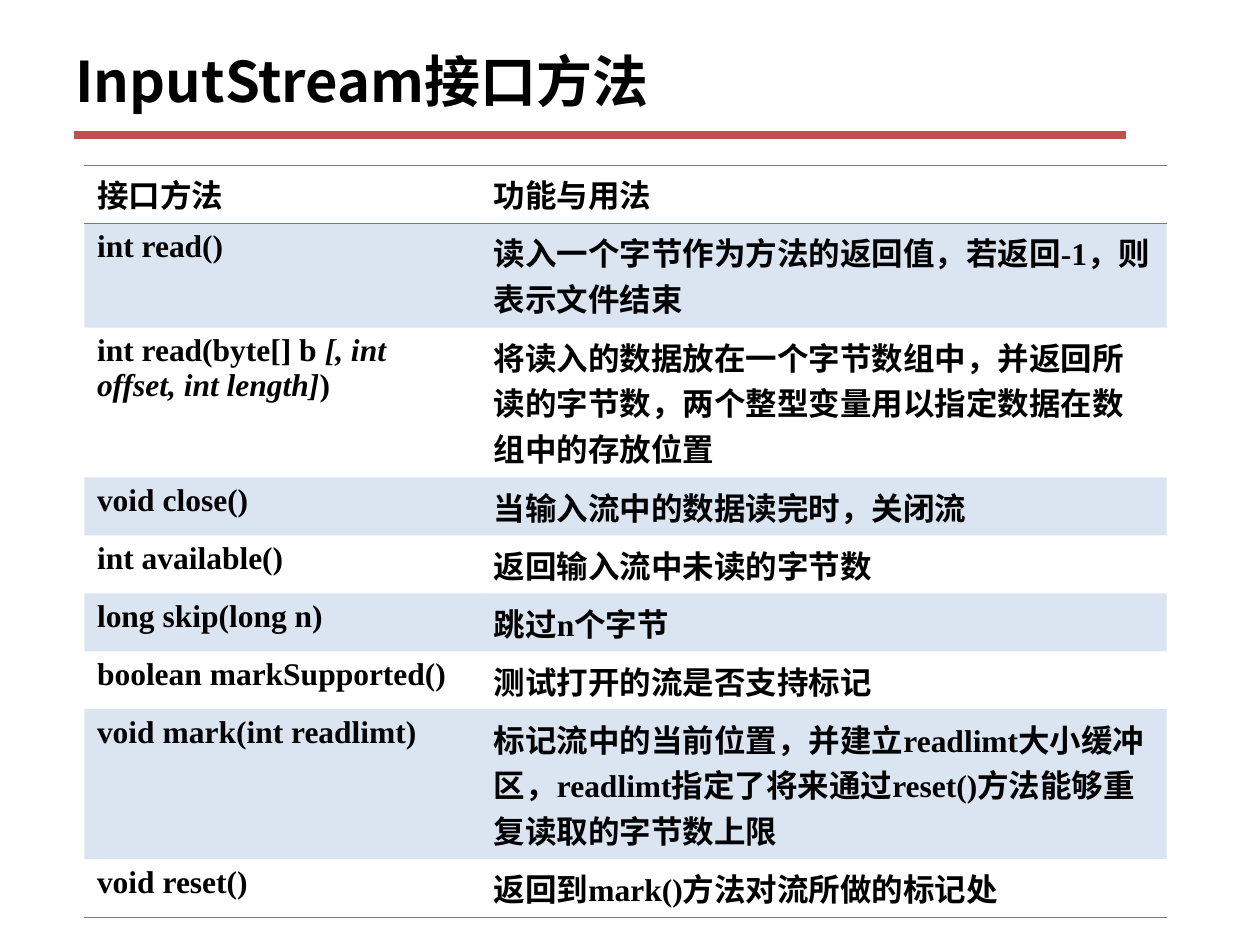
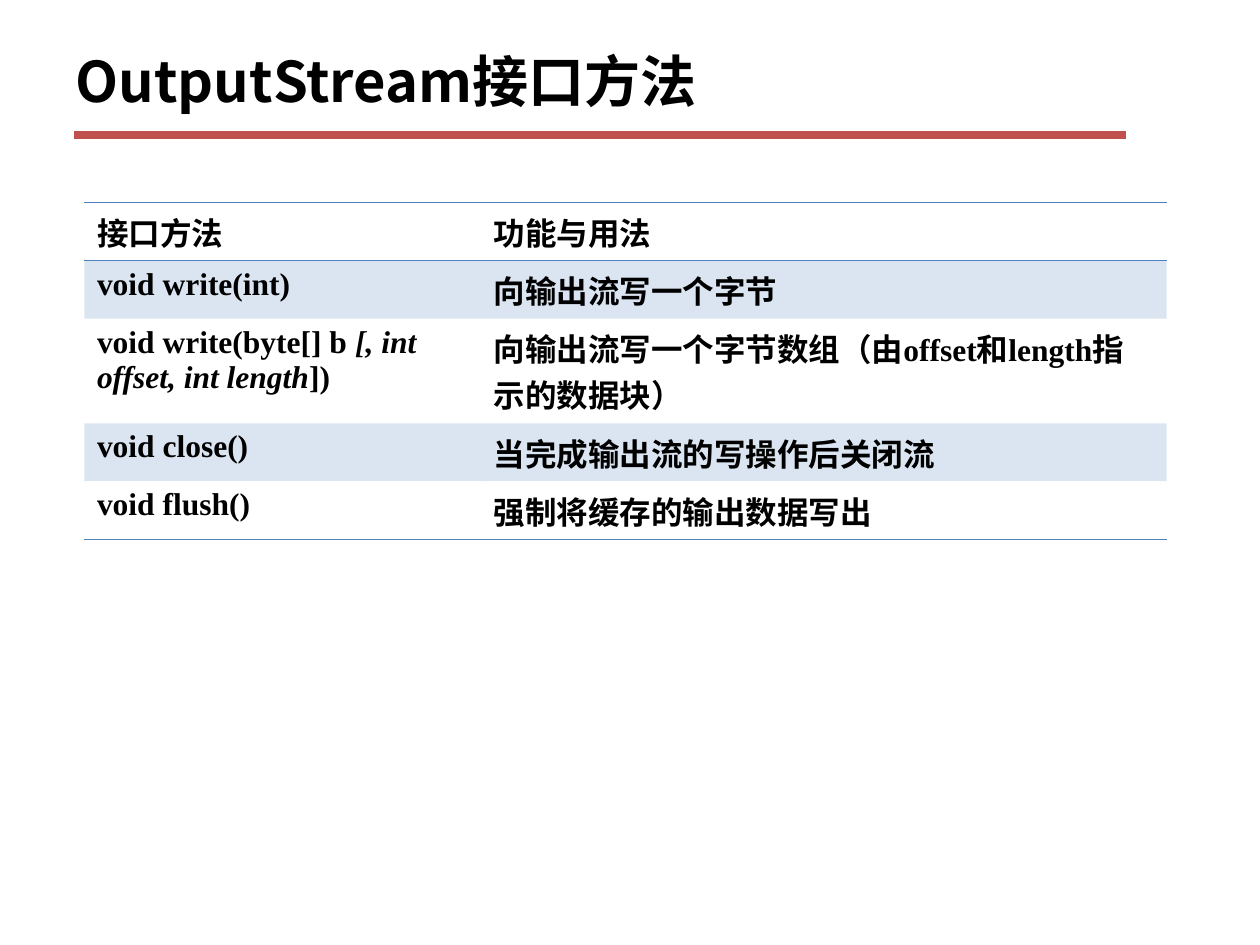
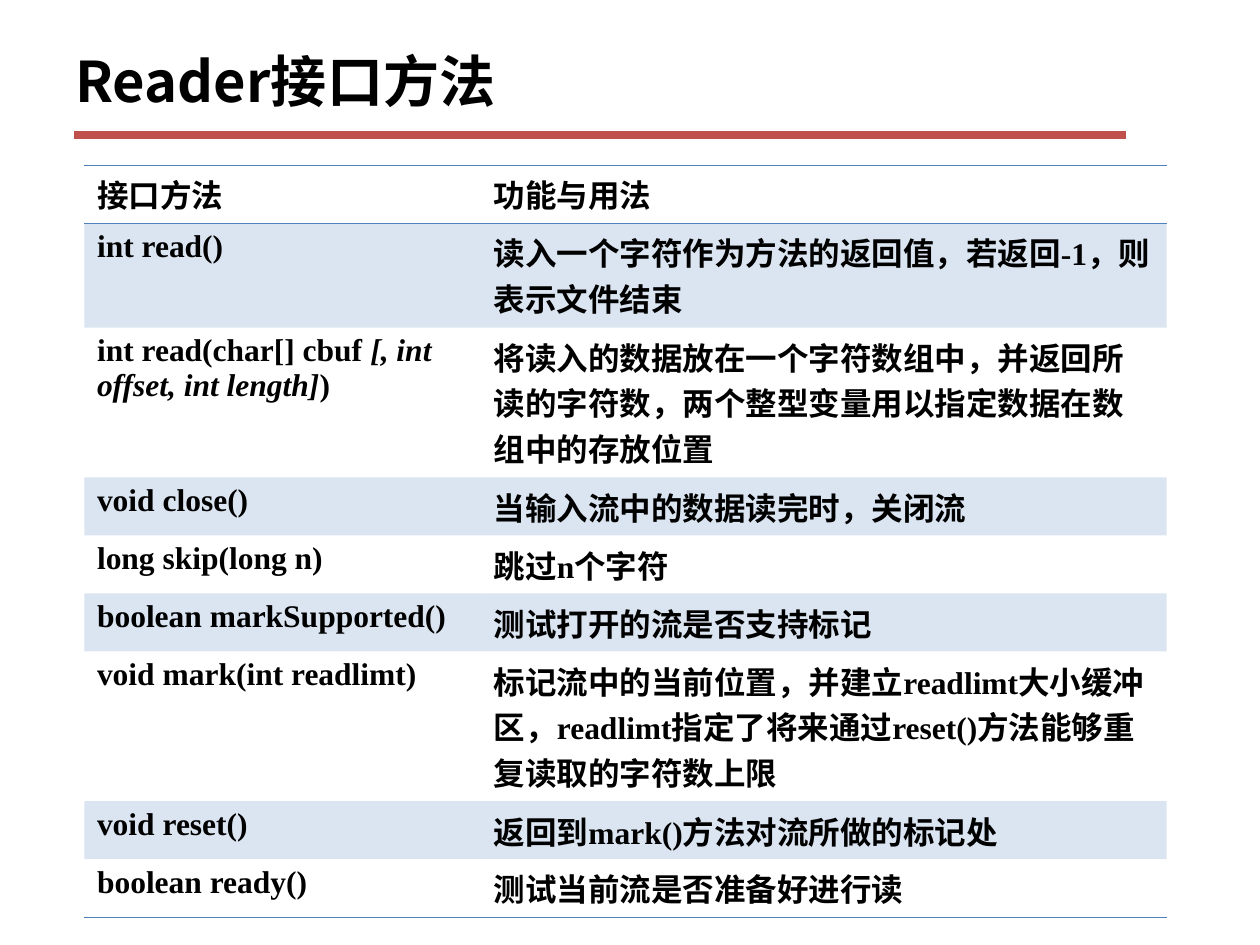
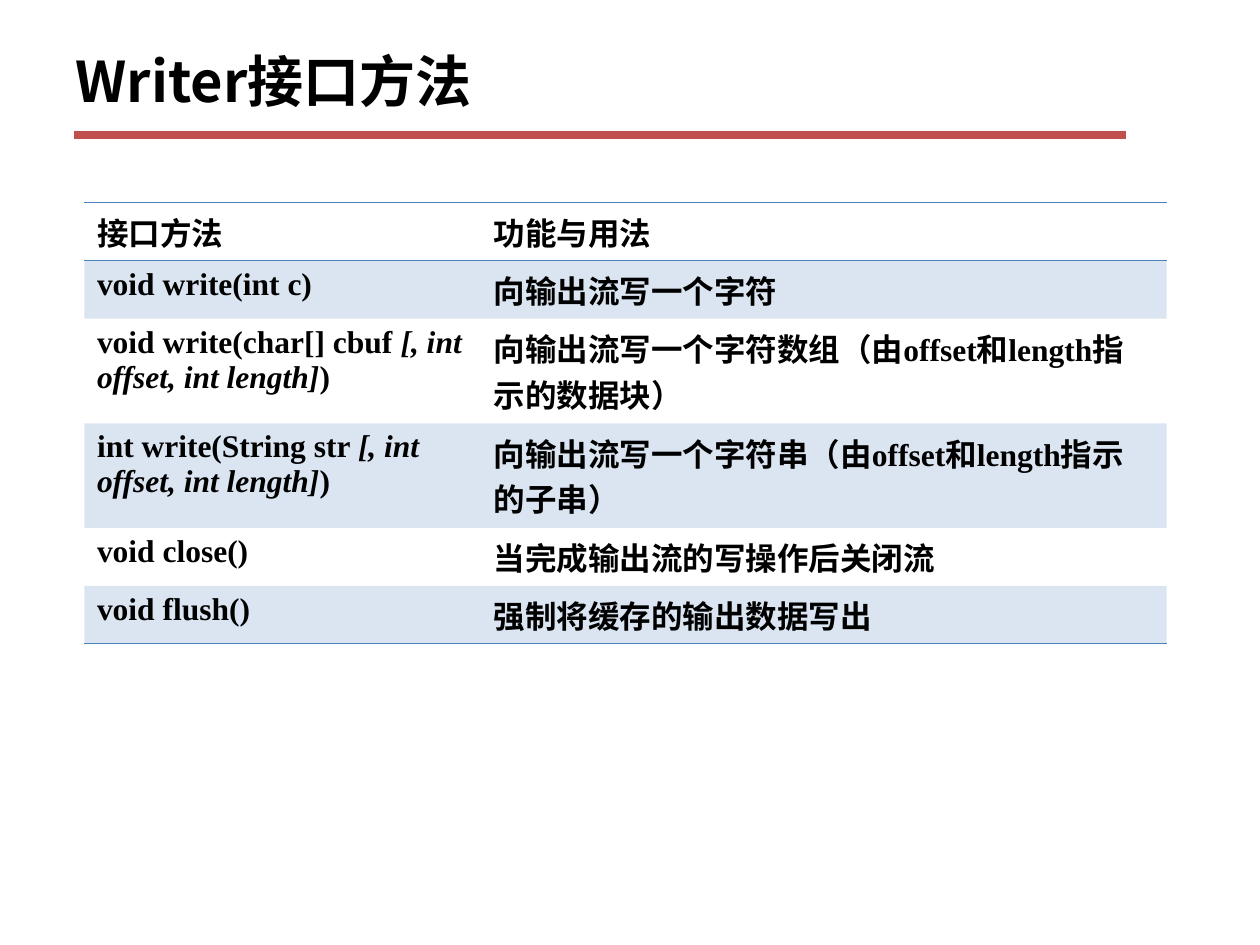
from dataclasses import dataclass

from lxml import etree
from pptx import Presentation, util as u
from pptx.dml.color import RGBColor
from pptx.enum import shapes, text
from pptx.oxml.ns import qn

BLACK = RGBColor(0x00, 0x00, 0x00)
RED = RGBColor(0xC0, 0x50, 0x4D)
BLUE = RGBColor(0x4F, 0x81, 0xBD)
SANS = "Noto Sans CJK SC"
SERIF = "Times New Roman"
TITLE = dict(size=u.Pt(32), bold=True, name=SANS)
BODY = dict(size=u.Pt(18), bold=True, name=SERIF)
PLAIN = "{2D5ABB26-0587-4C30-8999-92F81FD0307C}"
COLS = (3.15, 5.44)
HIGHS = {1: 0.46, 2: 0.83, 3: 1.19}  # row height by lines of text
LEFT = 0.67


@dataclass
class Row:
    """One method; parts of the call between bars are italic."""
    call: str
    use: str
    lines: int = 1


@dataclass
class Page:
    name: str
    top: float
    rows: list[Row]


HEAD = Row("接口方法", "功能与用法")
MARKED = Row("boolean markSupported()", "测试打开的流是否支持标记")
RESET = Row("void reset()", "返回到mark()方法对流所做的标记处")
SHUT = Row("void close()", "当输入流中的数据读完时，关闭流")
ENDS = [Row("void close()", "当完成输出流的写操作后关闭流"),
        Row("void flush()", "强制将缓存的输出数据写出")]


def reads(unit: str, buf: str) -> list[Row]:
    return [
        Row("int read()", f"读入一个{unit}作为方法的返回值，若返回-1，则表示文件结束", 2),
        Row(f"int read({buf} |[, int offset, int length]|)",
            f"将读入的数据放在一个{unit}数组中，并返回所读的{unit}数，"
            "两个整型变量用以指定数据在数组中的存放位置", 3),
        SHUT]


def skip(unit: str) -> Row:
    return Row("long skip(long n)", f"跳过n个{unit}")


def mark(unit: str) -> Row:
    return Row("void mark(int readlimt)",
               "标记流中的当前位置，并建立readlimt大小缓冲区，"
               f"readlimt指定了将来通过reset()方法能够重复读取的{unit}数上限", 3)


def writes(unit: str, arg: str, call: str) -> list[Row]:
    return [Row(f"void write({arg})", f"向输出流写一个{unit}"),
            Row(call, f"向输出流写一个{unit}数组（由offset和length指示的数据块）", 2)]


PAGES = [
    Page("InputStream", 1.31, [
        *reads("字节", "byte[] b"),
        Row("int available()", "返回输入流中未读的字节数"),
        skip("字节"), MARKED, mark("字节"), RESET]),
    Page("OutputStream", 1.61, [
        *writes("字节", "int", "void write(byte[] b |[, int offset, int length|])"),
        *ENDS]),
    Page("Reader", 1.31, [
        *reads("字符", "char[] cbuf"),
        skip("字符"), MARKED, mark("字符"), RESET,
        Row("boolean ready()", "测试当前流是否准备好进行读")]),
    Page("Writer", 1.61, [
        *writes("字符", "int c", "void write(char[] cbuf |[, int offset, int length]|)"),
        Row("int write(String str |[, int offset, int length]|)",
            "向输出流写一个字符串（由offset和length指示的子串）", 2),
        *ENDS]),
]


def put(frame, words: str, form: dict) -> None:
    """Write words into a frame; every second part between bars is italic."""
    for i, part in enumerate(words.split("|")):
        run = frame.paragraphs[0].add_run()
        run.text = part
        for key, val in form.items():
            setattr(run.font, key, val)
        run.font.color.rgb = BLACK
        if i % 2:
            run.font.italic = True
        etree.SubElement(run.font._element, qn("a:ea"), typeface=SANS)


def edge(cell, side: str) -> None:
    """Rule the top (lnT) or bottom (lnB) of a cell."""
    line = etree.SubElement(cell._tc.get_or_add_tcPr(), qn(f"a:{side}"),
                            w=str(u.Pt(0.45)))
    fill = etree.SubElement(line, qn("a:solidFill"))
    etree.SubElement(fill, qn("a:srgbClr"), val=str(BLUE))


def tint(cell) -> None:
    cell.fill.solid()
    cell.fill.fore_color.rgb = BLUE
    color = cell._tc.tcPr.find(qn("a:solidFill")).find(qn("a:srgbClr"))
    etree.SubElement(color, qn("a:alpha"), val="20000")


def grid(slide, page: Page) -> None:
    rows = [HEAD, *page.rows]
    highs = [HIGHS[row.lines] for row in rows]
    table = slide.shapes.add_table(
        len(rows), len(COLS), u.Inches(LEFT), u.Inches(page.top),
        u.Inches(sum(COLS)), u.Inches(sum(highs))).table
    table.first_row = table.horz_banding = False
    table._tbl.tblPr.find(qn("a:tableStyleId")).text = PLAIN
    for col, wide in zip(table.columns, COLS):
        col.width = u.Inches(wide)
    for i, (row, high) in enumerate(zip(rows, highs)):
        table.rows[i].height = u.Inches(high)
        for j, words in enumerate((row.call, row.use)):
            cell = table.cell(i, j)
            put(cell.text_frame, words, BODY)
            if i == 0:
                edge(cell, "lnT")
            if i in (0, len(rows) - 1):
                edge(cell, "lnB")
            if i % 2:
                tint(cell)
            else:
                cell.fill.background()


def title(slide, words: str) -> None:
    y = u.Inches(1.07)
    rule = slide.shapes.add_connector(
        shapes.MSO_CONNECTOR.STRAIGHT, u.Inches(0.59), y, u.Inches(8.94), y)
    rule.line.color.rgb = RED
    rule.line.width = u.Pt(4.5)
    etree.SubElement(rule._element.spPr, qn("a:effectLst"))
    box = slide.shapes.add_textbox(
        u.Inches(0.5), u.Inches(0.2), u.Inches(9), u.Inches(0.87))
    frame = box.text_frame
    frame.word_wrap = True
    frame.vertical_anchor = text.MSO_ANCHOR.MIDDLE
    put(frame, words, TITLE)


def main() -> None:
    deck = Presentation()
    deck.slide_width, deck.slide_height = u.Inches(10), u.Inches(7.5)
    for page in PAGES:
        slide = deck.slides.add_slide(deck.slide_layouts[6])
        title(slide, f"{page.name}接口方法")
        grid(slide, page)
    deck.save("out.pptx")


if __name__ == "__main__":
    main()
